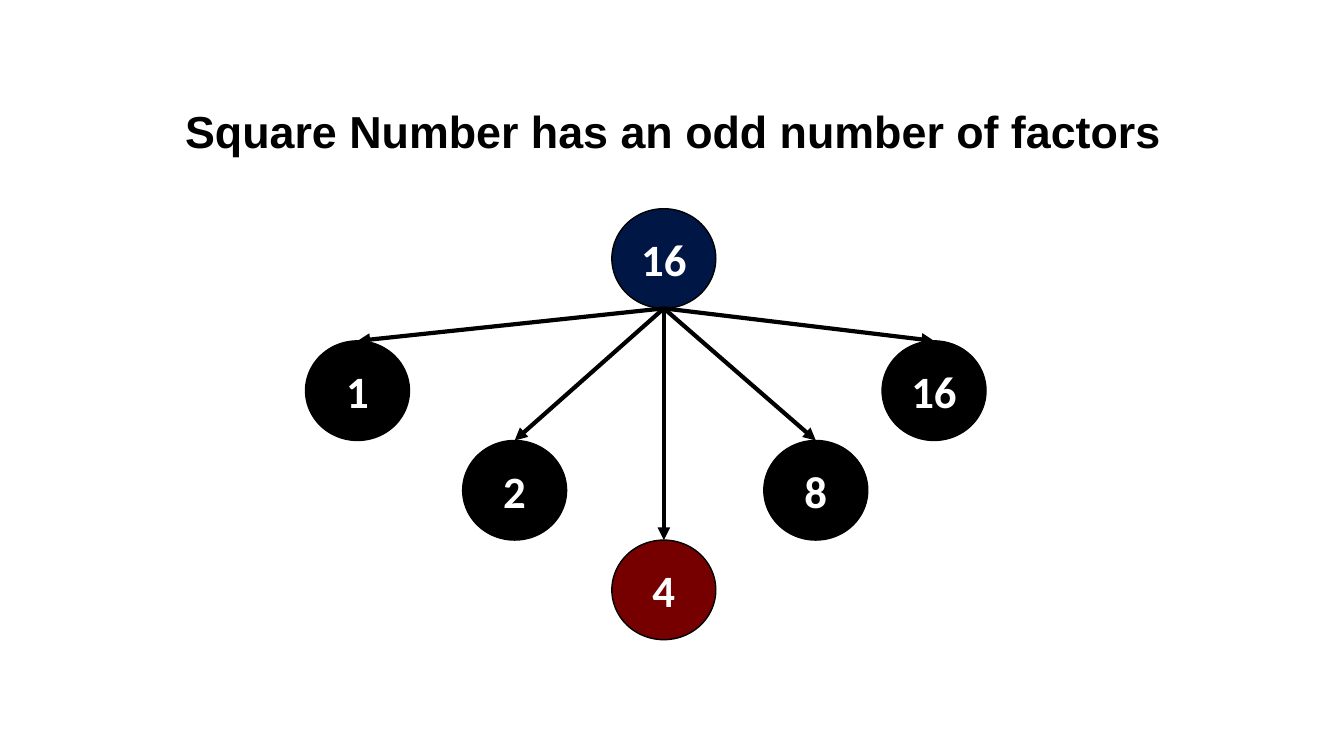
from pptx import Presentation, util as u
from pptx.dml.color import RGBColor
from pptx.enum import shapes, text
from pptx.oxml.ns import qn
from lxml import etree

Cm, Pt = u.Cm, u.Pt
COLORS = {"black": "000000", "white": "FFFFFF", "navy": "001746", "red": "760000"}


def rgb(name):
    return RGBColor.from_string(COLORS[name])


def add_text(sp, value, font, color):
    p = sp.text_frame.paragraphs[0]
    p.alignment = text.PP_ALIGN.CENTER
    r = p.add_run()
    r.text = value
    r.font.name = font
    r.font.size = Pt(32)
    r.font.bold = True
    r.font.color.rgb = rgb(color)


prs = Presentation()
prs.slide_width, prs.slide_height = Cm(33.87), Cm(19.05)
s = prs.slides.add_slide(prs.slide_layouts[6])

title = s.shapes.add_textbox(Cm(2), Cm(2.49), Cm(29.95), Cm(1.62))
title.text_frame.word_wrap = True
add_text(title, "Square Number has an odd number of factors", "Arial", "black")

width, height = 2.62, 2.51
center, top = 15.42, 5.26
row = 8.59
number = ("16", center, top, "navy")
factors = [
    ("16", 22.23, row, "black"),
    ("1", 7.7, row, "black"),
    ("2", 11.66, row + height, "black"),
    ("8", 19.25, row + height, "black"),
    ("4", center, row + 2 * height, "red"),
]

for value, x, y, color in [number] + factors:
    sp = s.shapes.add_shape(shapes.MSO_SHAPE.OVAL, Cm(x), Cm(y), Cm(width), Cm(height))
    sp.shadow.inherit = False
    sp.fill.solid()
    sp.fill.fore_color.rgb = rgb(color)
    sp.line.color.rgb = rgb("black")
    sp.line.width = Pt(1)
    tf = sp.text_frame
    tf.word_wrap = False
    tf.vertical_anchor = text.MSO_ANCHOR.MIDDLE
    add_text(sp, value, "Calibri", "white")

for value, x, y, color in factors:
    cx = s.shapes.add_connector(
        shapes.MSO_CONNECTOR.STRAIGHT,
        Cm(center + width / 2), Cm(top + height), Cm(x + width / 2), Cm(y))
    cx.line.color.rgb = rgb("black")
    cx.line.width = Pt(3)
    etree.SubElement(cx.line._get_or_add_ln(), qn("a:tailEnd"), type="triangle")
    etree.SubElement(cx._element.spPr, qn("a:effectLst"))

prs.save("out.pptx")
